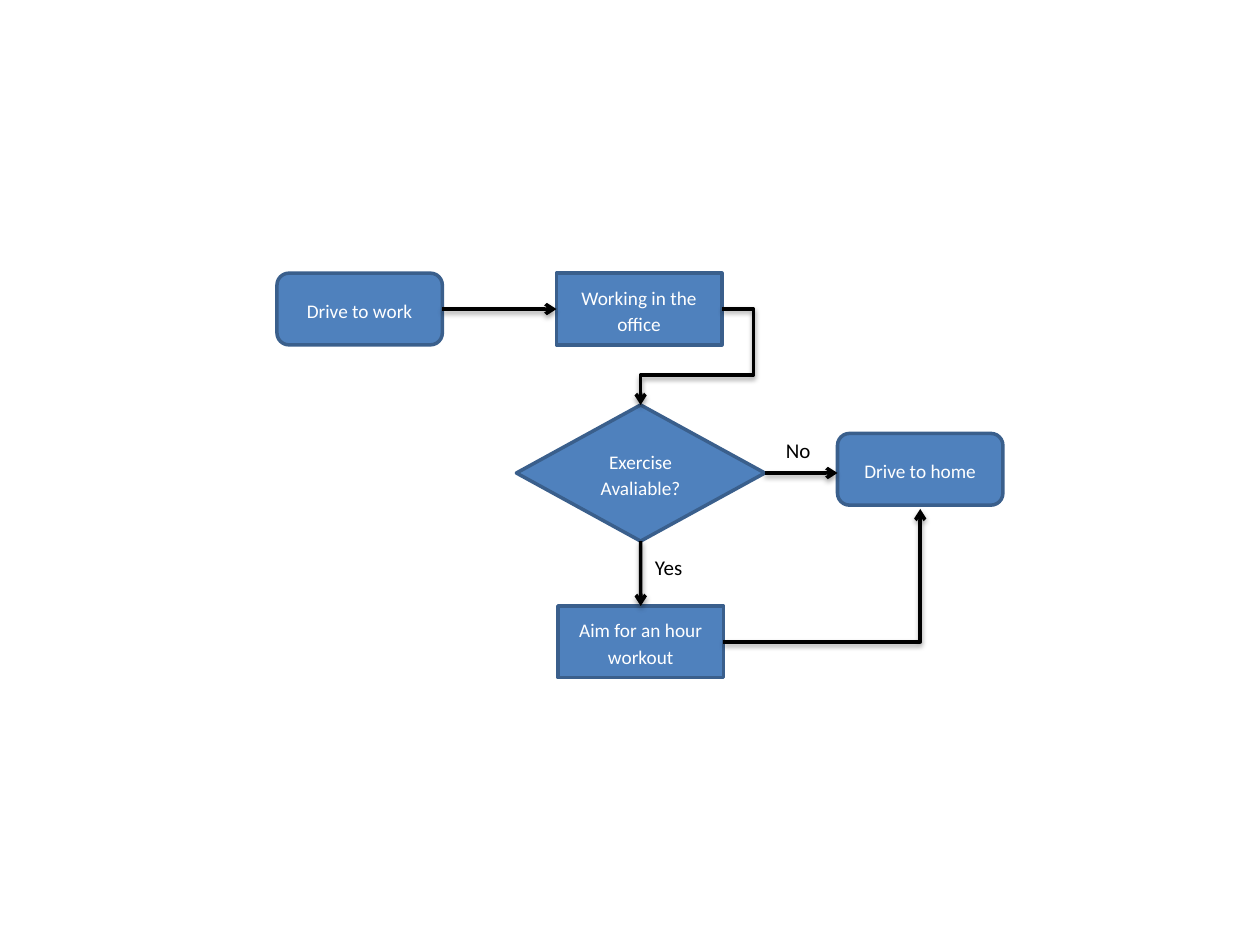
from lxml import etree
from pptx import Presentation
from pptx.dml.color import RGBColor
from pptx.enum import shapes, text
from pptx.oxml import parse_xml
from pptx.oxml.ns import nsdecls, qn
from pptx.util import Pt

THEME = {
    "font": "Calibri", "step_size": 11, "label_size": 12,
    "fill": "4F81BD", "outline": "3A5F8C", "step_text": "FFFFFF", "ink": "000000",
    "line_width": 2,
}
SLIDE_SIZE = 720, 540
BOX = 94.5, 41
DIAMOND = 142, 77.8
TOP, LEFT, BOTTOM, RIGHT = range(4)

# name: (text, shape kind, left, top, size)
TERMINAL = shapes.MSO_SHAPE.FLOWCHART_ALTERNATE_PROCESS
PROCESS = shapes.MSO_SHAPE.FLOWCHART_PROCESS
DECISION = shapes.MSO_SHAPE.FLOWCHART_DECISION
STEPS = {
    "drive": ("Drive to work", TERMINAL, 158.3, 156.1, BOX),
    "office": ("Working in the office", PROCESS, 318, 156.1, BOX),
    "exercise": ("Exercise Avaliable?", DECISION, 295.1, 231.4, DIAMOND),
    "home": ("Drive to home", TERMINAL, 478.6, 247.7, BOX),
    "workout": ("Aim for an hour workout", PROCESS, 318.9, 346.3, BOX),
}
# (from, side, to, side)
STRAIGHT_ARROWS = [
    ("drive", RIGHT, "office", LEFT),
    ("exercise", RIGHT, "home", LEFT),
    ("exercise", BOTTOM, "workout", TOP),
]
# (from, side, to, side, gap before the arrowhead, preset, bend adjustments)
BENT_ARROWS = [
    ("office", RIGHT, "exercise", TOP, 0, "bentConnector4", (-39200, 68800)),
    ("workout", RIGHT, "home", BOTTOM, 2.2, "bentConnector2", ()),
]
# (text, left, top)
LABELS = [("Yes", 367.2, 313.4), ("No", 442, 246.3)]
LABEL_SIZE = 30.5, 21.8


def color(name):
    return RGBColor.from_string(THEME[name])


def write(shape, words, size, ink, align=None, spacing=None, after=None):
    para = shape.text_frame.paragraphs[0]
    para.alignment, para.line_spacing = align, spacing
    if after is not None:
        para.space_after = Pt(after)
    span = para.add_run()
    span.text = words
    span.font.name = THEME["font"]
    span.font.size = Pt(THEME[size])
    span.font.color.rgb = color(ink)


def add_step(page, words, kind, left, top, size):
    box = page.shapes.add_shape(kind, Pt(left), Pt(top), *map(Pt, size))
    box.shadow.inherit = False
    box.fill.solid()
    box.fill.fore_color.rgb = color("fill")
    box.line.color.rgb = color("outline")
    box.line.width = Pt(THEME["line_width"])
    box.text_frame.vertical_anchor = text.MSO_ANCHOR.MIDDLE
    write(box, words, "step_size", "step_text",
          align=text.PP_ALIGN.CENTER, spacing=1.15, after=10)
    return box


def side_point(name, side):
    left, top, (width, height) = STEPS[name][2:]
    across, down = [(0.5, 0), (0, 0.5), (0.5, 1), (1, 0.5)][side]
    return left + across * width, top + down * height


def add_arrow(page, kind, start, end):
    arrow = page.shapes.add_connector(kind, *map(Pt, (*start, *end)))
    arrow.line.color.rgb = color("ink")
    arrow.line.width = Pt(THEME["line_width"])
    properties = arrow.element.spPr
    etree.SubElement(properties.find(qn("a:ln")), qn("a:tailEnd"), type="arrow")
    properties.append(parse_xml(
        f'<a:effectLst {nsdecls("a")}><a:outerShdw blurRad="{Pt(3.1)}" '
        f'dist="{Pt(1.6)}" dir="5400000" rotWithShape="0"><a:srgbClr '
        f'val="{THEME["ink"]}"><a:alpha val="38000"/></a:srgbClr>'
        '</a:outerShdw></a:effectLst>'))
    return arrow


def bend(arrow, preset, adjustments):
    geometry = arrow.element.spPr.find(qn("a:prstGeom"))
    geometry.set("prst", preset)
    guides = geometry.find(qn("a:avLst"))
    for number, value in enumerate(adjustments, 1):
        etree.SubElement(guides, qn("a:gd"), name=f"adj{number}", fmla=f"val {value}")


def main():
    deck = Presentation()
    deck.slide_width, deck.slide_height = map(Pt, SLIDE_SIZE)
    page = deck.slides.add_slide(deck.slide_layouts[6])

    # Flowchart steps
    boxes = {name: add_step(page, *step) for name, step in STEPS.items()}

    # Straight arrows stay level or upright, joined where they meet a side's middle
    for source, out, target, into in STRAIGHT_ARROWS:
        start, middle = side_point(source, out), side_point(target, into)
        end = (middle[0], start[1]) if out == RIGHT else (start[0], middle[1])
        arrow = add_arrow(page, shapes.MSO_CONNECTOR.STRAIGHT, start, end)
        arrow.begin_connect(boxes[source], out)
        if max(abs(a - b) for a, b in zip(end, middle)) < 0.1:
            arrow.end_connect(boxes[target], into)

    # Bent arrows
    for source, out, target, into, gap, preset, adjustments in BENT_ARROWS:
        x, y = side_point(target, into)
        arrow = add_arrow(page, shapes.MSO_CONNECTOR.ELBOW,
                          side_point(source, out), (x, y + gap))
        bend(arrow, preset, adjustments)

    # Branch labels
    for words, left, top in LABELS:
        label = page.shapes.add_textbox(Pt(left), Pt(top), *map(Pt, LABEL_SIZE))
        label.text_frame.word_wrap = False
        label.text_frame.auto_size = text.MSO_AUTO_SIZE.SHAPE_TO_FIT_TEXT
        write(label, words, "label_size", "ink")

    deck.save("out.pptx")


if __name__ == "__main__":
    main()
